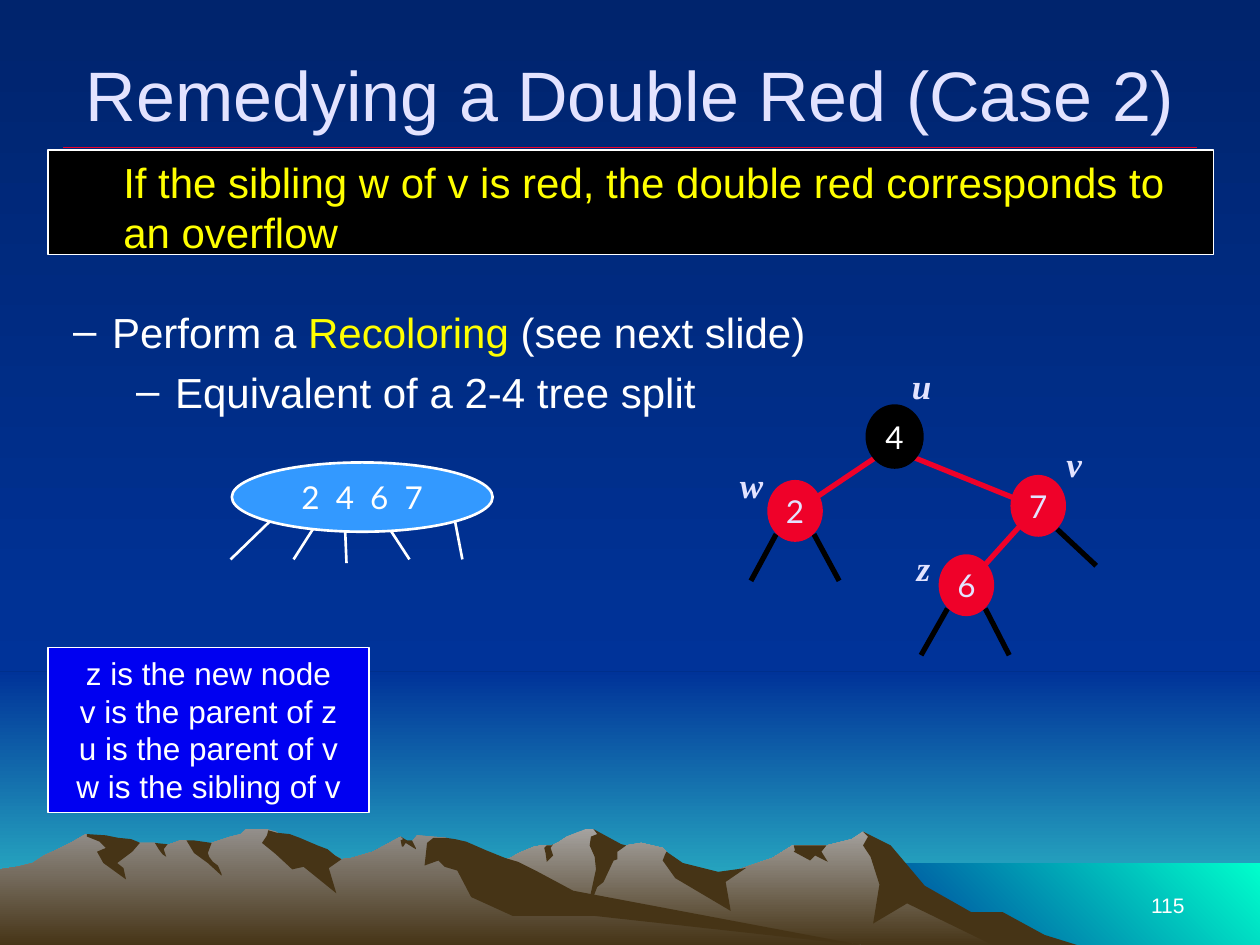
from lxml.etree import SubElement
from pptx import Presentation
from pptx.dml.color import RGBColor
from pptx.enum.shapes import MSO_CONNECTOR, MSO_SHAPE
from pptx.enum.text import MSO_ANCHOR, MSO_AUTO_SIZE, PP_ALIGN
from pptx.oxml.ns import qn
from pptx.util import Pt

EMU_PER_PX = 9144
WHITE, BLACK, RED, YELLOW, LILAC = "FFFFFF", "000000", "EF0129", "FFFF00", "E3E3FF"
NIGHT, BLUE, EARTH = "00246D", "003399", "463416"
DOWN, UP_RIGHT = 270, 45

TITLE = "Remedying a Double Red (Case 2)"
RULE = "If the sibling w of v is red, the double red corresponds to an overflow"
BULLETS = [
    (0, [("Perform a ", WHITE), ("Recoloring ", YELLOW), ("(see next slide)", WHITE)]),
    (1, [("Equivalent of a 2-4 tree split", WHITE)]),
]
LEGEND = ["z is the new node", "v is the parent of z", "u is the parent of v", "w is the sibling of v"]

NODE_SIZE = (42, 47)
NODES = [("4", 689, 323, BLACK, WHITE), ("6", 746, 441, RED, LILAC),
         ("7", 803, 378, RED, LILAC), ("2", 610, 382, RED, LILAC)]
NODE_LABELS = [("z", 708, 429, 50), ("v", 830, 346, 45), ("w", 568, 363, 57), ("u", 709, 284, 45)]
EDGES = [
    (WHITE, 1.5, [(215, 413, 183, 444), (361, 413, 367, 444), (233, 444, 249, 419),
                  (325, 444, 310, 421), (275, 447, 274, 422)]),
    (RED, 3, [(725, 363, 819, 401), (809, 418, 782, 448), (695, 363, 631, 406)]),
    (BLACK, 3, [(782, 483, 801, 520), (752, 483, 731, 520), (839, 420, 870, 449),
                (646, 424, 666, 461), (616, 424, 596, 461)]),
]

SKY = [((0, 533, 1000, 217), (BLUE, "33CCCC"), DOWN),
       ((0, 0, 1000, 533), (NIGHT, BLUE), DOWN),
       ((683, 685, 317, 65), (BLUE, "00FFCC"), UP_RIGHT)]
RIGHT_RANGE = [
    (802, 740), (778, 727), (764, 723), (723, 698), (702, 671), (685, 660), (676, 666), (656, 671),
    (629, 671), (613, 681), (566, 697), (536, 690), (529, 676), (526, 673), (509, 669), (497, 671),
    (486, 673), (474, 661), (471, 658), (465, 658), (450, 664), (444, 668), (438, 671), (430, 671),
    (424, 672), (412, 677), (405, 681), (394, 685), (355, 698), (327, 709), (277, 739), (258, 751),
    (821, 751)]
RIGHT_SHADOWS = [
    [(796, 724), (771, 724), (734, 703), (707, 671), (685, 660), (689, 664), (685, 671), (691, 680),
     (698, 702), (693, 733), (720, 717), (792, 752), (858, 751), (829, 742)],
    [(471, 658), (474, 662), (469, 664), (468, 671), (472, 680), (473, 690), (465, 727), (474, 704),
     (479, 700), (487, 683), (490, 682), (490, 676), (497, 671), (493, 670)],
    [(529, 676), (528, 678), (526, 683), (536, 697), (580, 723), (576, 700), (592, 689), (570, 692),
     (542, 685)],
    [(650, 671), (630, 671), (631, 675), (630, 676), (643, 683), (647, 679), (657, 684), (652, 676),
     (656, 671)],
    [(433, 677), (432, 673), (434, 671), (438, 671), (439, 670), (437, 673), (439, 679), (434, 684)],
]
LEFT_RANGE = [
    (690, 751), (667, 748), (432, 712), (354, 665), (331, 663), (327, 668), (323, 668), (318, 664),
    (296, 676), (279, 681), (271, 682), (260, 676), (236, 681), (223, 663), (219, 660), (212, 658),
    (195, 658), (191, 662), (183, 664), (168, 669), (160, 671), (148, 667), (143, 667), (132, 671),
    (128, 671), (123, 669), (111, 669), (94, 671), (68, 662), (56, 669), (46, 674), (35, 679),
    (26, 685), (14, 688), (0, 690), (0, 751)]
LEFT_SHADOWS = [
    [(212, 663), (208, 669), (219, 678), (232, 690), (241, 688), (267, 709), (261, 689), (271, 682),
     (266, 679), (260, 674), (252, 671), (238, 665), (230, 662), (220, 661), (213, 659)],
    [(370, 668), (361, 666), (354, 665), (344, 665), (339, 669), (337, 687), (348, 683), (353, 688),
     (363, 691), (374, 712), (407, 727), (472, 727), (690, 751), (683, 750), (455, 707), (427, 692),
     (411, 684), (401, 681), (386, 675)],
    [(318, 667), (320, 666), (318, 664), (323, 667), (327, 667), (330, 673), (330, 674), (322, 669),
     (320, 672), (319, 672)],
    [(154, 667), (168, 669), (165, 677), (166, 680), (169, 684), (173, 687), (176, 694), (176, 695),
     (165, 685), (154, 677), (148, 667)],
    [(133, 670), (130, 674), (132, 680), (129, 678), (126, 674), (123, 669)],
    [(109, 668), (111, 669), (105, 676), (93, 685), (98, 689), (100, 698), (82, 685), (77, 676),
     (84, 673), (79, 668), (69, 664), (69, 662), (84, 663), (94, 665), (104, 666)],
]


def px(*lengths):
    return [length * EMU_PER_PX for length in lengths]


def color(hex_string):
    return RGBColor.from_string(hex_string)


def paint(fill, colors, angle=DOWN):
    if isinstance(colors, str):
        fill.solid()
        fill.fore_color.rgb = color(colors)
        return
    fill.gradient()
    fill.gradient_angle = angle
    for stop, stop_color in zip(fill.gradient_stops, colors):
        stop.color.rgb = color(stop_color)


def style_shape(shape, colors, angle=DOWN, line=None, width=0.75):
    shape.shadow.inherit = False
    paint(shape.fill, colors, angle)
    if line:
        shape.line.color.rgb = color(line)
        shape.line.width = Pt(width)
    else:
        shape.line.fill.background()


def add_figure(kind, box, colors, **style):
    shape = shapes.add_shape(kind, *px(*box))
    style_shape(shape, colors, **style)
    return shape


def add_outline(points, colors):
    builder = shapes.build_freeform(*points[0], scale=EMU_PER_PX)
    builder.add_line_segments(points[1:], close=True)
    style_shape(builder.convert_to_shape(), colors)


def add_line(ends, hex_string, width):
    line = shapes.add_connector(MSO_CONNECTOR.STRAIGHT, *px(*ends))
    line.line.color.rgb = color(hex_string)
    line.line.width = Pt(width)
    SubElement(line._element.spPr, qn("a:effectLst"))


def set_font(paragraph, size, hex_string=None, name="Arial"):
    paragraph.font.size = Pt(size)
    paragraph.font.name = name
    if hex_string:
        paragraph.font.color.rgb = color(hex_string)


def write(shape, lines, size, hex_string, name="Arial", align=PP_ALIGN.CENTER,
          anchor=MSO_ANCHOR.TOP, wrap=True):
    frame = shape.text_frame
    frame.word_wrap = wrap
    frame.auto_size = MSO_AUTO_SIZE.NONE
    frame.vertical_anchor = anchor
    frame.text = "\n".join(lines)
    for paragraph in frame.paragraphs:
        paragraph.alignment = align
        set_font(paragraph, size, hex_string, name)
    return frame


def place(shape, box):
    shape.left, shape.top, shape.width, shape.height = px(*box)
    shapes._spTree.append(shape._element)


presentation = Presentation()
presentation.slide_width, presentation.slide_height = px(1000, 750)
slide = presentation.slides.add_slide(presentation.slide_layouts[1])
shapes = slide.shapes
title, body = slide.placeholders

paint(slide.background.fill, (NIGHT, BLUE))
for box, colors, angle in SKY:
    add_figure(MSO_SHAPE.RECTANGLE, box, colors, angle=angle)
for mountains, colors, shadows in [(RIGHT_RANGE, ("A5A29F", EARTH), RIGHT_SHADOWS),
                                   (LEFT_RANGE, ("938F8B", EARTH), LEFT_SHADOWS)]:
    add_outline(mountains, colors)
    for shadow in shadows:
        add_outline(shadow, EARTH)
add_line((50, 117, 950, 117), RED, 0.75)

number = shapes.add_textbox(*px(717, 683, 233, 50))
write(number, ["115"], 12, WHITE, align=PP_ALIGN.RIGHT, anchor=MSO_ANCHOR.BOTTOM)

place(title, (50, 25, 900, 98))
write(title, [TITLE], 40, LILAC, anchor=MSO_ANCHOR.MIDDLE)

place(body, (48, 238, 892, 215))
body.text_frame.auto_size = MSO_AUTO_SIZE.NONE
for index, (level, runs) in enumerate(BULLETS):
    paragraph = body.text_frame.paragraphs[0] if index == 0 else body.text_frame.add_paragraph()
    paragraph.level = level
    paragraph.space_before = Pt(5.5 * index)
    properties = paragraph._p.get_or_add_pPr()
    margin, indent = px(31 + 50 * level, -31)
    properties.set("marL", str(margin))
    properties.set("indent", str(indent))
    SubElement(properties, qn("a:buChar"), char="–")
    set_font(paragraph, 24)
    for text, hex_string in runs:
        run = paragraph.add_run()
        run.text = text
        run.font.color.rgb = color(hex_string)

for hex_string, width, lines in EDGES:
    for ends in lines:
        add_line(ends, hex_string, width)

four_node = add_figure(MSO_SHAPE.OVAL, (184, 367, 207, 55), "3399FF", line=WHITE, width=1.5)
write(four_node, ["2  4  6  7"], 18, WHITE, "Lato", anchor=MSO_ANCHOR.MIDDLE, wrap=False)
for key, left, top, fill, text_color in NODES:
    node = add_figure(MSO_SHAPE.OVAL, (left, top, *NODE_SIZE), fill, line=fill,
                      width=3 if fill == BLACK else 1.5)
    write(node, [key], 18, text_color, "Lato", anchor=MSO_ANCHOR.MIDDLE, wrap=False)
for letter, left, top, width in NODE_LABELS:
    label = shapes.add_textbox(*px(left, top, width, 44))
    paragraph = write(label, [letter], 20, LILAC, "Times New Roman").paragraphs[0]
    paragraph.font.bold = paragraph.font.italic = True

rule_box = add_figure(MSO_SHAPE.RECTANGLE, (38, 119, 925, 83), BLACK, line=WHITE)
rule = write(rule_box, [RULE], 24, YELLOW, align=PP_ALIGN.LEFT).paragraphs[0]
rule._p.get_or_add_pPr().set("marL", str(px(50)[0]))
legend = add_figure(MSO_SHAPE.RECTANGLE, (38, 514, 255, 131), "0000F1", line=WHITE)
write(legend, LEGEND, 18, WHITE)

presentation.save("out.pptx")
